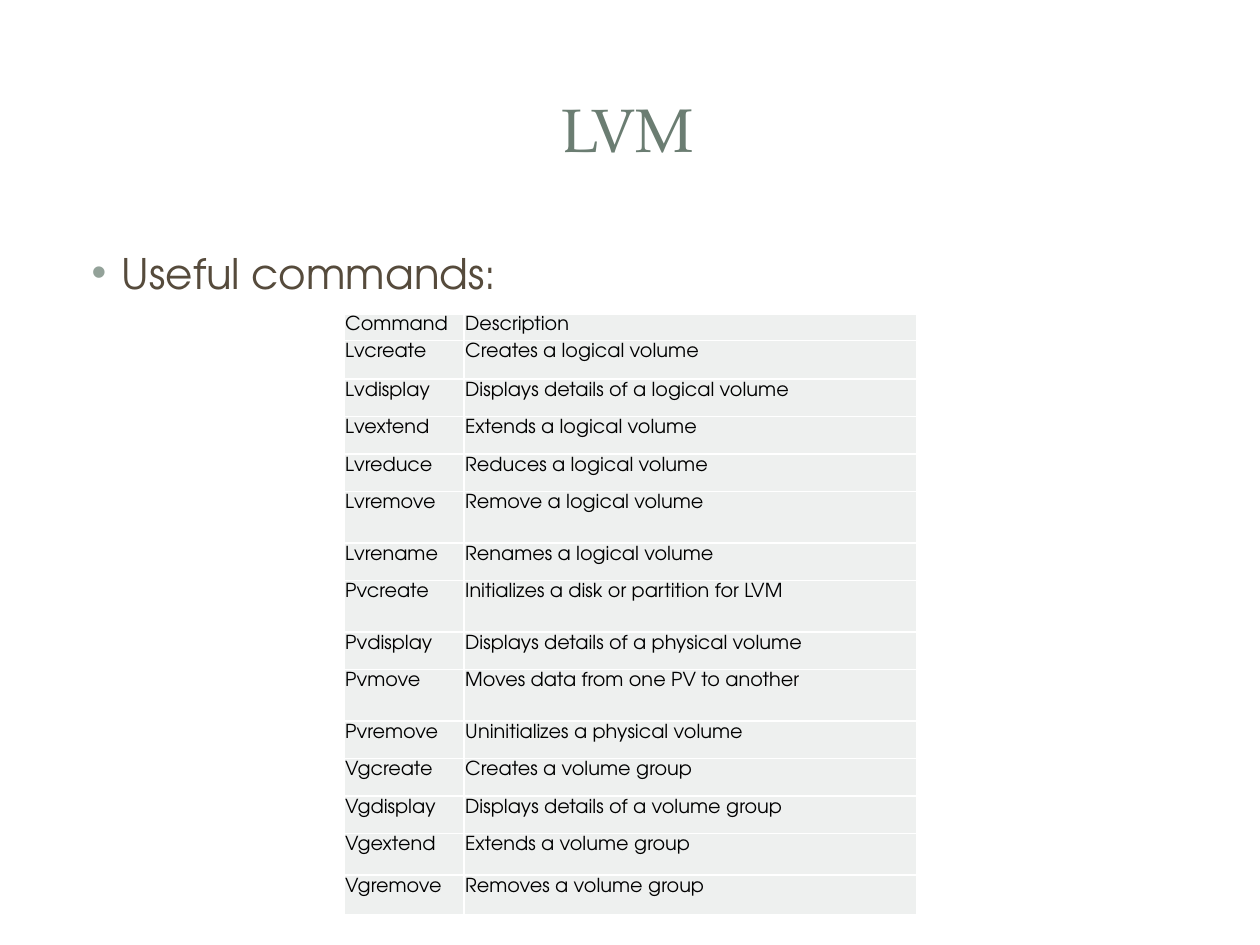
from typing import NamedTuple

from lxml import etree
from pptx import Presentation, util as u
from pptx.dml.color import RGBColor
from pptx.enum import shapes as s, text as t
from pptx.oxml import ns

WIDE, HIGH = u.Inches(10), u.Inches(7.5)
SERIF, SANS = "TeX Gyre Pagella", "TeX Gyre Adventor"
GREEN = RGBColor(0x6B, 0x7D, 0x72)
SAGE = RGBColor(0x93, 0xA2, 0x99)
BROWN = RGBColor(0x56, 0x4B, 0x3C)
BLACK = RGBColor(0, 0, 0)
WHITE = RGBColor(0xFF, 0xFF, 0xFF)
PALE = RGBColor(0xEE, 0xF0, 0xEF)


class Box(NamedTuple):
    """Left, top, width and height in percent of the slide."""
    x: float
    y: float
    w: float
    h: float

    def place(self) -> tuple[int, ...]:
        return (across(self.x), down(self.y), across(self.w), down(self.h))


class Panel(NamedTuple):
    """Backing shape; solid is its opacity in percent."""
    box: Box
    kind: s.MSO_SHAPE = s.MSO_SHAPE.RECTANGLE
    solid: int = 100


class Row(NamedTuple):
    """Table row; its height is in percent of the slide."""
    name: str
    note: str
    high: float = 3.97


PANELS = (
    Panel(Box(1, 1.47, 98, 97.2), s.MSO_SHAPE.ROUNDED_RECTANGLE),
    Panel(Box(3, 4, 94, 19.33), solid=83),
    Panel(Box(4.1, 5.47, 91.7, 16.27)),
)
TALL = 5.45
COLS = (9.52, 35.98)
ROWS = (
    Row("Command", "Description", 2.54),
    Row("Lvcreate", "Creates a logical volume", 4.1),
    Row("Lvdisplay", "Displays details of a logical volume"),
    Row("Lvextend", "Extends a logical volume"),
    Row("Lvreduce", "Reduces a logical volume"),
    Row("Lvremove", "Remove a logical volume", TALL),
    Row("Lvrename", "Renames a logical volume"),
    Row("Pvcreate", "Initializes a disk or partition for LVM", TALL),
    Row("Pvdisplay", "Displays details of a physical volume"),
    Row("Pvmove", "Moves data from one PV to another", TALL),
    Row("Pvremove", "Uninitializes a physical volume"),
    Row("Vgcreate", "Creates a volume group"),
    Row("Vgdisplay", "Displays details of a volume group"),
    Row("Vgextend", "Extends a volume group", 4.4),
    Row("Vgremove", "Removes a volume group", 4.2),
)


def across(part: float) -> int:
    return round(WIDE * part / 100)


def down(part: float) -> int:
    return round(HIGH * part / 100)


def write(frame, words: str, *, size: float, color: RGBColor, font: str = SANS,
          align=t.PP_ALIGN.LEFT, line: float | None = None):
    """Fill the frame's first paragraph and return it."""
    frame.word_wrap = True
    para = frame.paragraphs[0]
    para.alignment = align
    if line:
        para.line_spacing = line
    run = para.add_run()
    run.text = words
    run.font.size = u.Pt(size)
    run.font.name = font
    run.font.color.rgb = color
    return para


def add(parent, tag: str, **attrs: str):
    return etree.SubElement(parent, ns.qn(tag), attrs)


def draw_panel(slide, panel: Panel) -> None:
    shape = slide.shapes.add_shape(panel.kind, *panel.box.place())
    shape.shadow.inherit = False
    shape.line.fill.background()
    shape.fill.solid()
    shape.fill.fore_color.rgb = WHITE
    if panel.kind == s.MSO_SHAPE.ROUNDED_RECTANGLE:
        shape.adjustments[0] = 0.02
    if panel.solid < 100:
        color = shape._element.spPr.find(f".//{ns.qn('a:srgbClr')}")
        add(color, "a:alpha", val=str(panel.solid * 1000))


def bullet(para, color: RGBColor) -> None:
    props = para._p.get_or_add_pPr()
    props.set("marL", str(u.Inches(0.37)))
    props.set("indent", str(u.Inches(-0.24)))
    add(add(props, "a:buClr"), "a:srgbClr", val=str(color))
    add(props, "a:buFont", typeface="Arial")
    add(props, "a:buChar", char="•")


def border(cell, color: RGBColor, width: float) -> None:
    props = cell._tc.get_or_add_tcPr()
    for side in ("L", "R", "T", "B"):
        edge = add(props, f"a:ln{side}", w=str(u.Pt(width)))
        add(add(edge, "a:solidFill"), "a:srgbClr", val=str(color))


def fill_cell(cell, words: str) -> None:
    border(cell, WHITE, 1)
    cell.fill.solid()
    cell.fill.fore_color.rgb = PALE
    cell.margin_left = cell.margin_right = u.Inches(0.01)
    cell.margin_top = cell.margin_bottom = 0
    write(cell.text_frame, words, size=11, color=BLACK, line=1.15)


def draw_table(slide, x: float, y: float) -> None:
    box = Box(x, y, sum(COLS), sum(row.high for row in ROWS))
    table = slide.shapes.add_table(len(ROWS), len(COLS), *box.place()).table
    table.first_row = table.horz_banding = False
    for col, wide in zip(table.columns, COLS):
        col.width = across(wide)
    for line, row in zip(table.rows, ROWS):
        line.height = down(row.high)
        for cell, words in zip(line.cells, (row.name, row.note)):
            fill_cell(cell, words)


def main() -> None:
    deck = Presentation()
    deck.slide_width, deck.slide_height = WIDE, HIGH
    slide = deck.slides.add_slide(deck.slide_layouts[6])
    for panel in PANELS:
        draw_panel(slide, panel)

    title = slide.shapes.add_textbox(*Box(4.65, 6, 90.3, 15.2).place()).text_frame
    title.vertical_anchor = t.MSO_ANCHOR.MIDDLE
    write(title, "LVM", size=35, color=GREEN, font=SERIF, align=t.PP_ALIGN.CENTER)

    body = slide.shapes.add_textbox(*Box(5, 25.5, 90, 63.73).place()).text_frame
    lead = write(body, "Useful commands:", size=24, color=BROWN)
    lead.space_before = u.Pt(4.8)
    bullet(lead, SAGE)

    draw_table(slide, 27.3, 33.2)
    deck.save("out.pptx")


if __name__ == "__main__":
    main()
